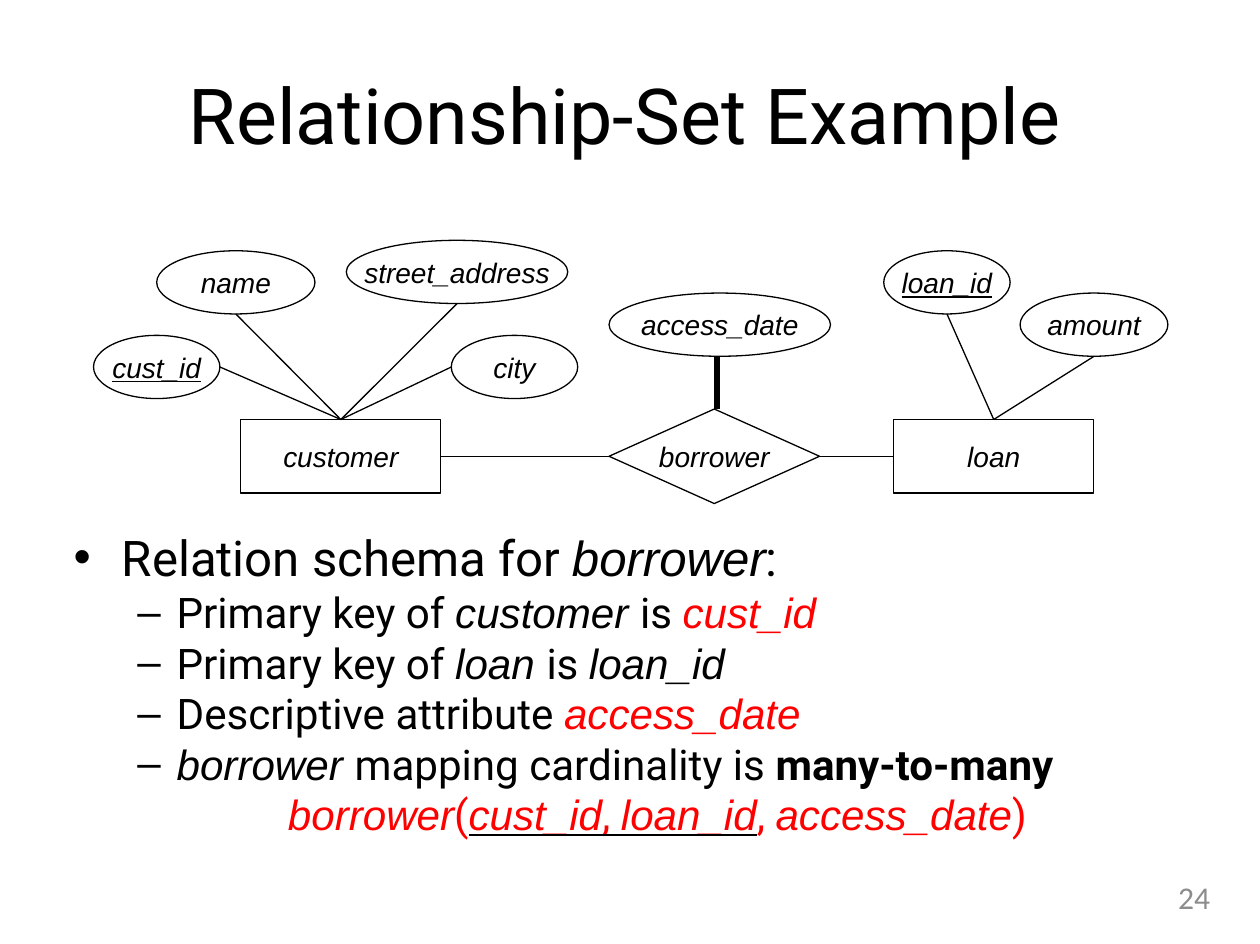
from lxml.etree import SubElement
from pptx import Presentation
from pptx.dml.color import RGBColor
from pptx.enum.shapes import MSO_CONNECTOR as LINK, MSO_SHAPE as SHAPE
from pptx.enum.text import MSO_ANCHOR as ANCHOR, MSO_AUTO_SIZE as FIT, PP_ALIGN as ALIGN
from pptx.oxml import parse_xml
from pptx.oxml.ns import nsdecls, qn
from pptx.util import Cm, Pt

BLACK, RED, GREY = "000000", "FF0000", "8C8C8C"
PLAIN = {"name": "Roboto", "italic": False}
BOLD = {"name": "Roboto", "bold": True}
TERM = {"name": "Arial", "italic": True}
KEY = {"name": "Arial", "italic": True, "underline": True}
KEY_GAP = {"name": "Roboto", "underline": True}

ATTRIBUTES = {
    "cust_id": (0, 1.91, 2.54, KEY),
    "name": (1.27, 0.21, 3.18, TERM),
    "street_address": (5.08, 0, 4.45, TERM),
    "city": (7.19, 1.91, 2.54, TERM),
    "access_date": (10.36, 1.06, 4.45, TERM),
    "loan_id": (15.88, 0.21, 2.54, KEY),
    "amount": (18.62, 1.06, 2.97, TERM),
}
SETS = {
    "customer": (SHAPE.RECTANGLE, 2.96, 3.6, 4.02, 1.48),
    "borrower": (SHAPE.DIAMOND, 10.36, 3.39, 4.23, 1.9),
    "loan": (SHAPE.RECTANGLE, 16.08, 3.6, 4.02, 1.48),
}
LINKS = [
    ("cust_id", "right", "customer", "top"),
    ("name", "bottom", "customer", "top"),
    ("street_address", "bottom", "customer", "top"),
    ("city", "left", "customer", "top"),
    ("loan_id", "bottom", "loan", "top"),
    ("amount", "bottom", "loan", "top"),
    ("customer", "right", "borrower", "left"),
    ("borrower", "right", "loan", "left"),
]
HEADING = [("Relation schema for ", PLAIN, BLACK), ("borrower", TERM, BLACK), (":", PLAIN, BLACK)]
POINTS = [
    [("Primary key of ", PLAIN, BLACK), ("customer ", TERM, BLACK),
     ("is ", PLAIN, BLACK), ("cust_id", TERM, RED)],
    [("Primary key of ", PLAIN, BLACK), ("loan ", TERM, BLACK),
     ("is ", PLAIN, BLACK), ("loan_id", TERM, BLACK)],
    [("Descriptive attribute ", PLAIN, BLACK), ("access_date", TERM, RED)],
    [("borrower ", TERM, BLACK), ("mapping cardinality is ", PLAIN, BLACK),
     ("many-to-many", BOLD, BLACK)],
]
SCHEMA = [("borrower", TERM, RED), ("(", PLAIN, RED), ("cust_id", KEY, RED),
          (", ", KEY_GAP, RED), ("loan_id", KEY, RED), (", ", PLAIN, RED),
          ("access_date", TERM, RED), (")", PLAIN, RED)]


def ink(colour):
    """Turn a hex string into a colour."""
    return RGBColor.from_string(colour)


def place(part, left, top, width, height):
    """Move and size a part, in centimetres."""
    box = {"left": left, "top": top, "width": width, "height": height}
    for side, length in box.items():
        setattr(part, side, Cm(length))


def clear_frame(frame, wrap=True, anchor=ANCHOR.TOP):
    """Remove the margins of a text frame and fix its size."""
    layout = dict.fromkeys(("margin_left", "margin_top", "margin_right", "margin_bottom"), 0)
    layout.update(word_wrap=wrap, vertical_anchor=anchor, auto_size=FIT.NONE)
    for attribute, value in layout.items():
        setattr(frame, attribute, value)


def write(paragraph, runs, size):
    """Add formatted runs to a paragraph."""
    for text, style, colour in runs:
        run = paragraph.add_run()
        run.text = text
        for attribute, value in {**style, "size": Pt(size)}.items():
            setattr(run.font, attribute, value)
        run.font.color.rgb = ink(colour)
        if style.get("underline"):
            underline = parse_xml(
                f'<a:uFill {nsdecls("a")}><a:solidFill><a:srgbClr val="{BLACK}"/></a:solidFill></a:uFill>')
            run.font._element.find(qn("a:latin")).addprevious(underline)


def format_line(paragraph, margin, indent, spacing, level=0):
    """Set the level, indents and line spacing of a paragraph."""
    layout = {"level": level, "line_spacing": Pt(spacing), "space_before": Pt(0), "space_after": Pt(0)}
    for attribute, value in layout.items():
        setattr(paragraph, attribute, value)
    properties = paragraph._p.get_or_add_pPr()
    properties.set("marL", str(Cm(margin)))
    properties.set("indent", str(Cm(indent)))


def add_title(slide, left, top, width, height):
    """Write the slide title."""
    title = slide.shapes.title
    place(title, left, top, width, height)
    clear_frame(title.text_frame)
    heading = title.text_frame.paragraphs[0]
    heading.alignment = ALIGN.CENTER
    write(heading, [("Relationship-Set Example", PLAIN, BLACK)], 44)


def add_node(slide, kind, label, style, left, top, width, height):
    """Draw one outlined node with its label."""
    node = slide.shapes.add_shape(kind, Cm(left), Cm(top), Cm(width), Cm(height))
    node.shadow.inherit = False
    node.fill.background()
    node.line.color.rgb = ink(BLACK)
    node.line.width = Pt(0.75)
    clear_frame(node.text_frame, False, ANCHOR.MIDDLE)
    caption = node.text_frame.paragraphs[0]
    caption.alignment = ALIGN.CENTER
    write(caption, [(label, style, BLACK)], 16)
    return node


def edge(node, side):
    """Give the middle of one side of a node."""
    across = {"left": 0, "right": node.width}.get(side, node.width // 2)
    down = {"top": 0, "bottom": node.height}.get(side, node.height // 2)
    return node.left + across, node.top + down


def add_link(slide, start, end, weight=0.75):
    """Draw a straight line between two points."""
    link = slide.shapes.add_connector(LINK.STRAIGHT, *start, *end)
    link.line.color.rgb = ink(BLACK)
    link.line.width = Pt(weight)
    SubElement(link._element.spPr, qn("a:effectLst"))


def add_diagram(slide, left, top):
    """Draw the entity-relationship diagram."""
    nodes = {}
    for label, (x, y, width, style) in ATTRIBUTES.items():
        nodes[label] = add_node(slide, SHAPE.OVAL, label, style, left + x, top + y, width, 1.27)
    for label, (kind, x, y, width, height) in SETS.items():
        nodes[label] = add_node(slide, kind, label, TERM, left + x, top + y, width, height)
    for source, source_side, target, target_side in LINKS:
        add_link(slide, edge(nodes[source], source_side), edge(nodes[target], target_side))
    date_x, date_y = edge(nodes["access_date"], "bottom")
    borrower_x, borrower_y = edge(nodes["borrower"], "top")
    middle = (date_x + borrower_x) // 2
    add_link(slide, (middle, date_y), (middle, borrower_y), 3.75)


def add_schema(slide, left, top, width, height):
    """Write the list that derives the relation schema."""
    body = slide.placeholders[1]
    place(body, left, top, width, height)
    frame = body.text_frame
    clear_frame(frame)
    heading = frame.paragraphs[0]
    format_line(heading, 1, -0.97, 33.5)
    write(heading, HEADING, 28)
    for runs in POINTS:
        point = frame.add_paragraph()
        format_line(point, 2.1, -0.79, 28.8, 1)
        write(point, runs, 24)
    schema = frame.add_paragraph()
    format_line(schema, 0.66, 0, 28.8)
    schema.alignment = ALIGN.CENTER
    SubElement(schema._p.get_or_add_pPr(), qn("a:buNone"))
    write(schema, SCHEMA, 24)


def add_number(slide, left, top, width, height):
    """Write the slide number."""
    number = slide.shapes.add_textbox(Cm(left), Cm(top), Cm(width), Cm(height))
    clear_frame(number.text_frame)
    line = number.text_frame.paragraphs[0]
    line.alignment = ALIGN.RIGHT
    write(line, [("24", {"name": "Calibri"}, GREY)], 18)


def main():
    """Build and save the slide."""
    deck = Presentation()
    deck.slide_width, deck.slide_height = Cm(25.32), Cm(18.97)
    slide = deck.slides.add_slide(deck.slide_layouts[1])
    add_title(slide, 3.6, 1.35, 17.93, 1.93)
    add_diagram(slide, 1.88, 4.83)
    add_schema(slide, 1.45, 10.6, 22.86, 6.4)
    add_number(slide, 18.5, 17.65, 5.82, 0.94)
    deck.save("out.pptx")


if __name__ == "__main__":
    main()
